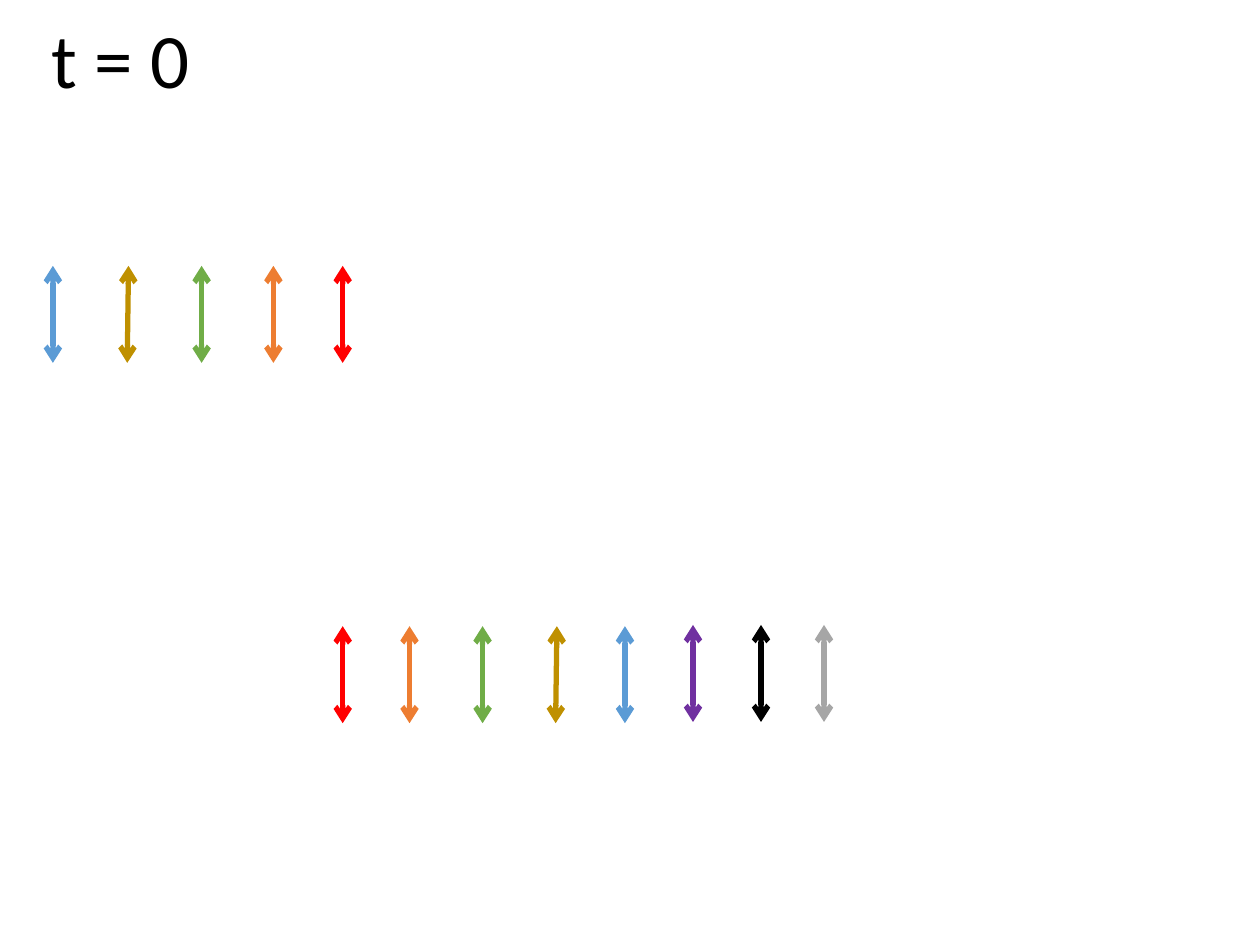
from typing import NamedTuple

from lxml.etree import SubElement
from pptx import Presentation
from pptx.dml.color import RGBColor
from pptx.enum.shapes import MSO_CONNECTOR
from pptx.enum.text import MSO_ANCHOR, MSO_AUTO_SIZE, PP_ALIGN
from pptx.oxml.ns import qn
from pptx.util import Emu, Pt

SCALE = 9144  # EMU per px, 100 px to the inch
SPAN = 77  # height of every arrow

BLUE, GOLD, GREEN = "5B9BD5", "BF9000", "70AD47"
ORANGE, RED, PURPLE = "ED7D31", "FF0000", "7030A0"
BLACK, GREY = "000000", "A6A6A6"


class Arrow(NamedTuple):
    x: int
    top: int
    color: str
    lean: int = 0  # sideways shift of the lower end


ARROWS = [
    # Upper row
    Arrow(42, 211, BLUE),
    Arrow(102, 211, GOLD, -1),
    Arrow(160, 211, GREEN),
    Arrow(217, 211, ORANGE),
    Arrow(272, 211, RED),
    # Lower row
    Arrow(272, 497, RED),
    Arrow(325, 497, ORANGE),
    Arrow(383, 497, GREEN),
    Arrow(442, 497, GOLD, -1),
    Arrow(496, 497, BLUE),
    Arrow(550, 496, PURPLE),
    Arrow(604, 496, BLACK),
    Arrow(654, 496, GREY),
]


def px(n: int) -> Emu:
    return Emu(n * SCALE)


def paint(fmt, color: str) -> None:
    fmt.rgb = RGBColor.from_string(color)


def draw_title(slide, text: str) -> None:
    title = slide.shapes.title
    title.left, title.top = px(31), px(10)
    title.width, title.height = px(862), px(81)
    frame = title.text_frame
    frame.text = text
    frame.word_wrap = True
    frame.auto_size = MSO_AUTO_SIZE.NONE
    frame.vertical_anchor = MSO_ANCHOR.MIDDLE
    para = frame.paragraphs[0]
    para.alignment = PP_ALIGN.LEFT
    para.line_spacing = 0.9
    para.font.name = "Calibri"
    para.font.size = Pt(44)
    paint(para.font.color, BLACK)


def draw_arrow(slide, arrow: Arrow) -> None:
    line = slide.shapes.add_connector(
        MSO_CONNECTOR.STRAIGHT,
        px(arrow.x), px(arrow.top),
        px(arrow.x + arrow.lean), px(arrow.top + SPAN),
    )
    line.line.width = Pt(3)
    paint(line.line.color, arrow.color)
    # Heads at both ends, no shadow
    props = line._element.spPr
    for end in ("a:headEnd", "a:tailEnd"):
        SubElement(props.find(qn("a:ln")), qn(end), type="arrow")
    SubElement(props, qn("a:effectLst"))


def main() -> None:
    deck = Presentation()
    deck.slide_width, deck.slide_height = px(1000), px(750)
    slide = deck.slides.add_slide(deck.slide_layouts[5])
    draw_title(slide, "t = 0")
    for arrow in ARROWS:
        draw_arrow(slide, arrow)
    deck.save("out.pptx")


if __name__ == "__main__":
    main()
